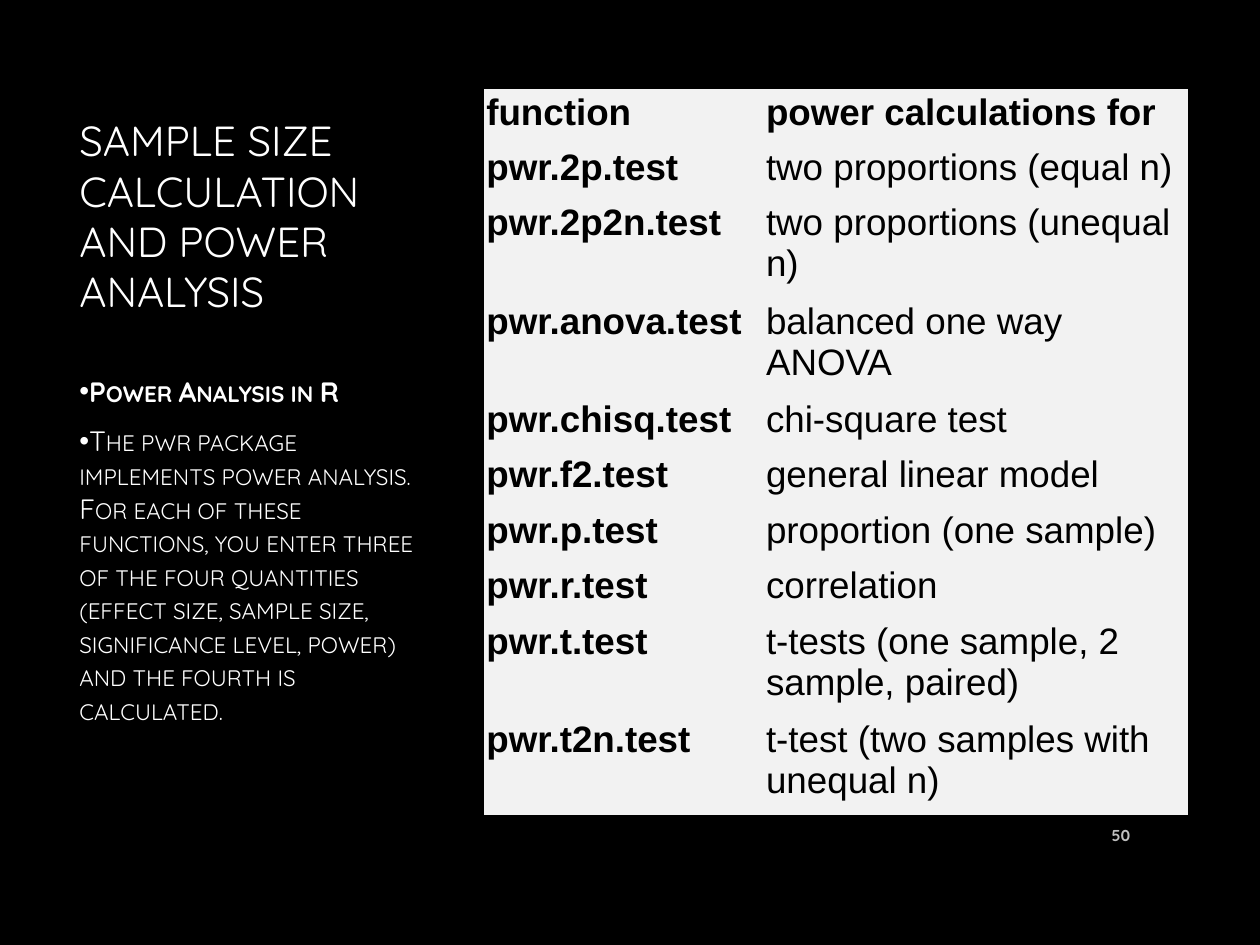
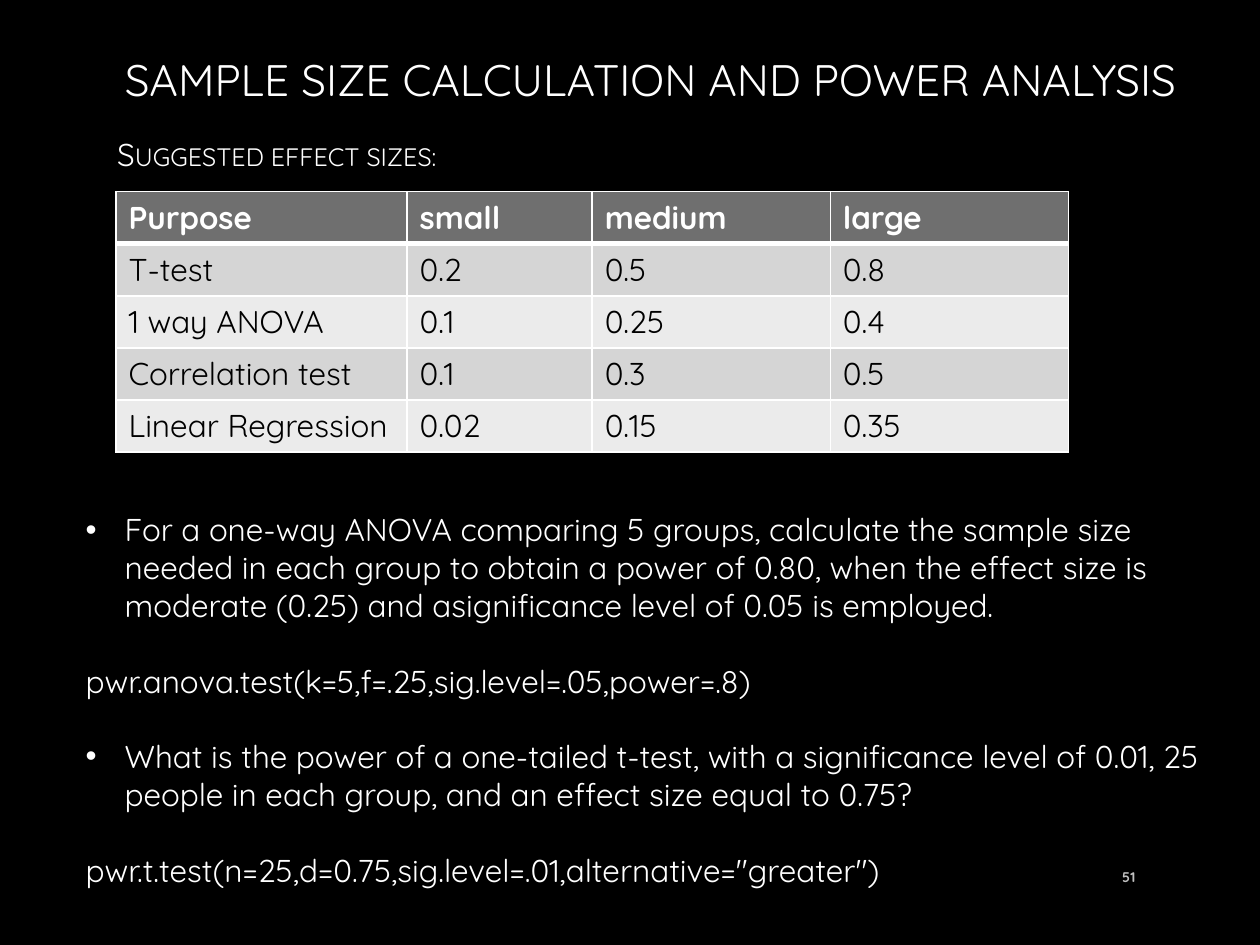
from dataclasses import dataclass

from pptx import Presentation
from pptx.dml.color import RGBColor as Color
from pptx.enum.text import MSO_ANCHOR as Anchor, MSO_AUTO_SIZE as AutoSize, PP_ALIGN as Align
from pptx.oxml.ns import qn
from pptx.oxml.xmlchemy import OxmlElement as Element
from pptx.util import Inches, Pt


@dataclass(frozen=True)
class Theme:
    font: str = "Quicksand"
    table_font: str = "Arial"
    black: str = "000000"
    white: str = "FFFFFF"
    muted: str = "BFBFBF"
    panel: str = "F2F2F2"
    header: str = "6F6F6F"
    bands: tuple = ("D5D5D5", "EBEBEB")
    title: float = 24
    wide_title: float = 25.2
    table: float = 21
    text: float = 18
    list: float = 16


theme = Theme()
TITLE = "SAMPLE SIZE CALCULATION AND POWER ANALYSIS"


def style(paragraph, size, color=theme.white, bold=False, font=theme.font,
          bullet=False, hanging=0, small_caps=False, before=0, after=0, align=Align.LEFT):
    """Format one paragraph: bullet and indent first, then spacing and font."""
    properties = paragraph._p.get_or_add_pPr()
    properties.set("marL", str(Inches(hanging)))
    properties.set("indent", str(-Inches(hanging)))
    mark = Element("a:buChar" if bullet else "a:buNone")
    if bullet:
        mark.set("char", "•")
    properties.append(mark)
    paragraph.alignment = align
    paragraph.space_before, paragraph.space_after = Pt(before), Pt(after)
    paragraph.font.name, paragraph.font.size = font, Pt(size)
    paragraph.font.bold = bold
    paragraph.font.color.rgb = Color.from_string(color)
    if small_caps:
        properties.find(qn("a:defRPr")).set("cap", "small")


def format_cell(cell, fill, borders):
    """Draw white borders of the given widths (0 is none), then fill the cell."""
    properties = cell._tc.get_or_add_tcPr()
    for side, width in zip("LRTB", borders):
        line = Element(f"a:ln{side}")
        line.set("w", str(Pt(width)))
        paint = Element("a:solidFill" if width else "a:noFill")
        if width:
            color = Element("a:srgbClr")
            color.set("val", theme.white)
            paint.append(color)
        line.append(paint)
        properties.append(line)
    cell.fill.solid()
    cell.fill.fore_color.rgb = Color.from_string(fill)


# Presentation, black background and a grid of 100 columns by 75 rows
presentation = Presentation()
presentation.slide_width, presentation.slide_height = Inches(10), Inches(7.5)
COLUMN = presentation.slide_width / 100
ROW = presentation.slide_height / 75
background = presentation.slide_master.background.fill
background.solid()
background.fore_color.rgb = Color.from_string(theme.black)
layouts = presentation.slide_layouts
functions_slide = presentation.slides.add_slide(layouts.get_by_name("Title and Content"))
effects_slide = presentation.slides.add_slide(layouts.get_by_name("Two Content"))

# Titles and lists: placeholder, grid position, paragraphs with their format
item = dict(size=theme.list, bullet=True, small_caps=True, after=6)
question = dict(size=theme.text, bullet=True, hanging=0.31)
code = dict(size=theme.text, before=21.6)
text_blocks = [
    (functions_slide.placeholders[0], (5.3, 6.7, 29.9, 20.8),
     [(TITLE, dict(size=theme.title))]),
    (functions_slide.placeholders[1], (5.3, 29.2, 29.9, 35.2), [
        ("Power Analysis in R", item | dict(bold=True)),
        ("The pwr package implements power analysis. For each of these functions, "
         "you enter three of the four quantities (effect size, sample size, "
         "significance level, power) and the fourth is calculated.",
         item | dict(before=3.2)),
    ]),
    (effects_slide.placeholders[0], (8.9, 2.5, 87.7, 7.5),
     [(TITLE, dict(size=theme.wide_title))]),
    (effects_slide.placeholders[1], (8.3, 10.2, 82.1, 4.5),
     [("Suggested effect sizes:", dict(size=theme.text, small_caps=True))]),
    (effects_slide.placeholders[2], (5.8, 40, 91.7, 31.3), [
        ("For a one-way ANOVA comparing 5 groups, calculate the sample size needed "
         "in each group to obtain a power of 0.80, when the effect size is moderate "
         "(0.25) and asignificance level of 0.05 is employed.", question),
        ("pwr.anova.test(k=5,f=.25,sig.level=.05,power=.8)", code),
        ("What is the power of a one-tailed t-test, with a significance level of "
         "0.01, 25 people in each group, and an effect size equal to 0.75?",
         question | dict(before=21.6)),
        ('pwr.t.test(n=25,d=0.75,sig.level=.01,alternative="greater")', code),
    ]),
]

# Slide numbers
for slide, number, size, left, top in [
    (functions_slide, "50", 9, 86.2, 64.3),
    (effects_slide, "51", 8, 86.6, 67.6),
]:
    box = slide.shapes.add_textbox(0, 0, 0, 0)
    box.text_frame.vertical_anchor = Anchor.MIDDLE
    text_blocks.append((box, (left, top, 4.5, 4), [
        (number, dict(size=size, color=theme.muted, bold=True, align=Align.RIGHT))]))

for shape, (left, top, width, height), paragraphs in text_blocks:
    shape.left, shape.width = int(left * COLUMN), int(width * COLUMN)
    shape.top, shape.height = int(top * ROW), int(height * ROW)
    frame = shape.text_frame
    frame.word_wrap, frame.auto_size = True, AutoSize.NONE
    frame.text = "\n".join(text for text, _ in paragraphs)
    for paragraph, (_, options) in zip(frame.paragraphs, paragraphs):
        style(paragraph, **options)

# Table of power functions; the last value is the number of text lines
functions = [
    ("function", "power calculations for", 1),
    ("pwr.2p.test", "two proportions (equal n)", 1),
    ("pwr.2p2n.test", "two proportions (unequal n)", 2),
    ("pwr.anova.test", "balanced one way ANOVA", 2),
    ("pwr.chisq.test", "chi-square test", 1),
    ("pwr.f2.test", "general linear model", 1),
    ("pwr.p.test", "proportion (one sample)", 1),
    ("pwr.r.test", "correlation", 1),
    ("pwr.t.test", "t-tests (one sample, 2 sample, paired)", 2),
    ("pwr.t2n.test", "t-test (two samples with unequal n)", 2),
]
# Table of effect sizes
effects = [
    ("Purpose", "small", "medium", "large"),
    ("T-test", "0.2", "0.5", "0.8"),
    ("1 way ANOVA", "0.1", "0.25", "0.4"),
    ("Correlation test", "0.1", "0.3", "0.5"),
    ("Linear Regression", "0.02", "0.15", "0.35"),
]

# Both tables: slide, position, column widths, row heights, values
tables = []
for slide, left, top, widths, heights, rows in [
    (functions_slide, 38.4, 7.1, (22.2, 33.7),
     [1 + 3.4 * lines for *_, lines in functions], [row[:2] for row in functions]),
    (effects_slide, 9.2, 15.2, (23.1, 14.7, 18.9, 18.9), [4.1] * len(effects), effects),
]:
    table = slide.shapes.add_table(
        len(rows), len(widths), int(left * COLUMN), int(top * ROW),
        int(sum(widths) * COLUMN), int(sum(heights) * ROW)).table
    table.horz_banding = False
    for column, width in zip(table.columns, widths):
        column.width = int(width * COLUMN)
    for row, height, values in zip(table.rows, heights, rows):
        row.height = int(height * ROW)
        for cell, value in zip(row.cells, values):
            cell.text = value
    tables.append(table)
function_table, effect_table = tables

# Function table: plain panel, bold header and first column
for r, row in enumerate(function_table.rows):
    for c, cell in enumerate(row.cells):
        cell.margin_left = cell.margin_right = Inches(0.02)
        cell.margin_top = cell.margin_bottom = Inches(0.02)
        format_cell(cell, theme.panel, (0, 0, 0, 0))
        style(cell.text_frame.paragraphs[0], theme.table, theme.black,
              bold=r == 0 or c == 0, font=theme.table_font)

# Effect table: dark header with a thick rule, banded rows below
for r, row in enumerate(effect_table.rows):
    is_header = r == 0
    fill = theme.header if is_header else theme.bands[(r - 1) % 2]
    for cell in row.cells:
        format_cell(cell, fill, (1, 1, 3 if r == 1 else 1, 3 if is_header else 1))
        style(cell.text_frame.paragraphs[0], theme.text,
              theme.white if is_header else theme.black, bold=is_header)

presentation.save("out.pptx")
